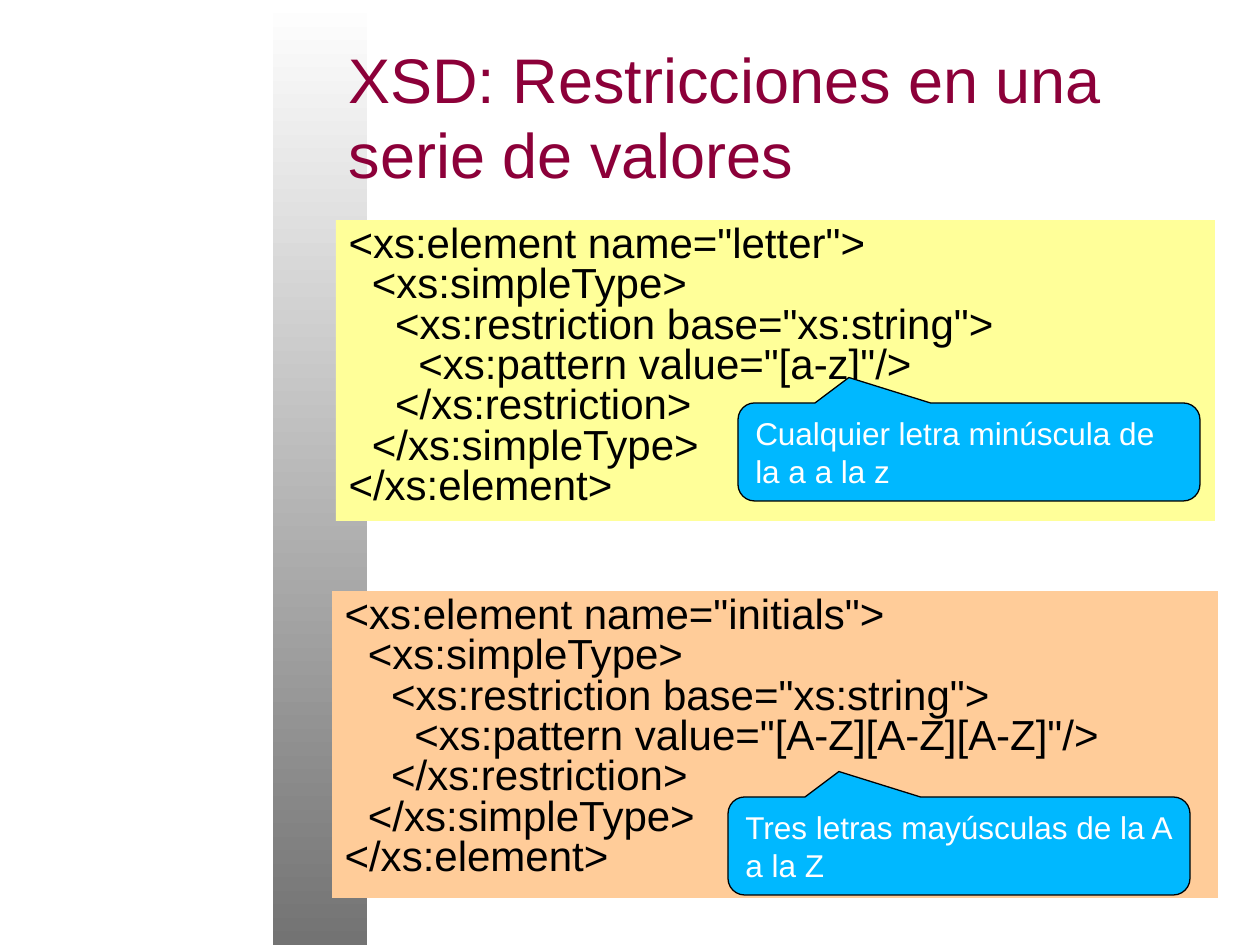
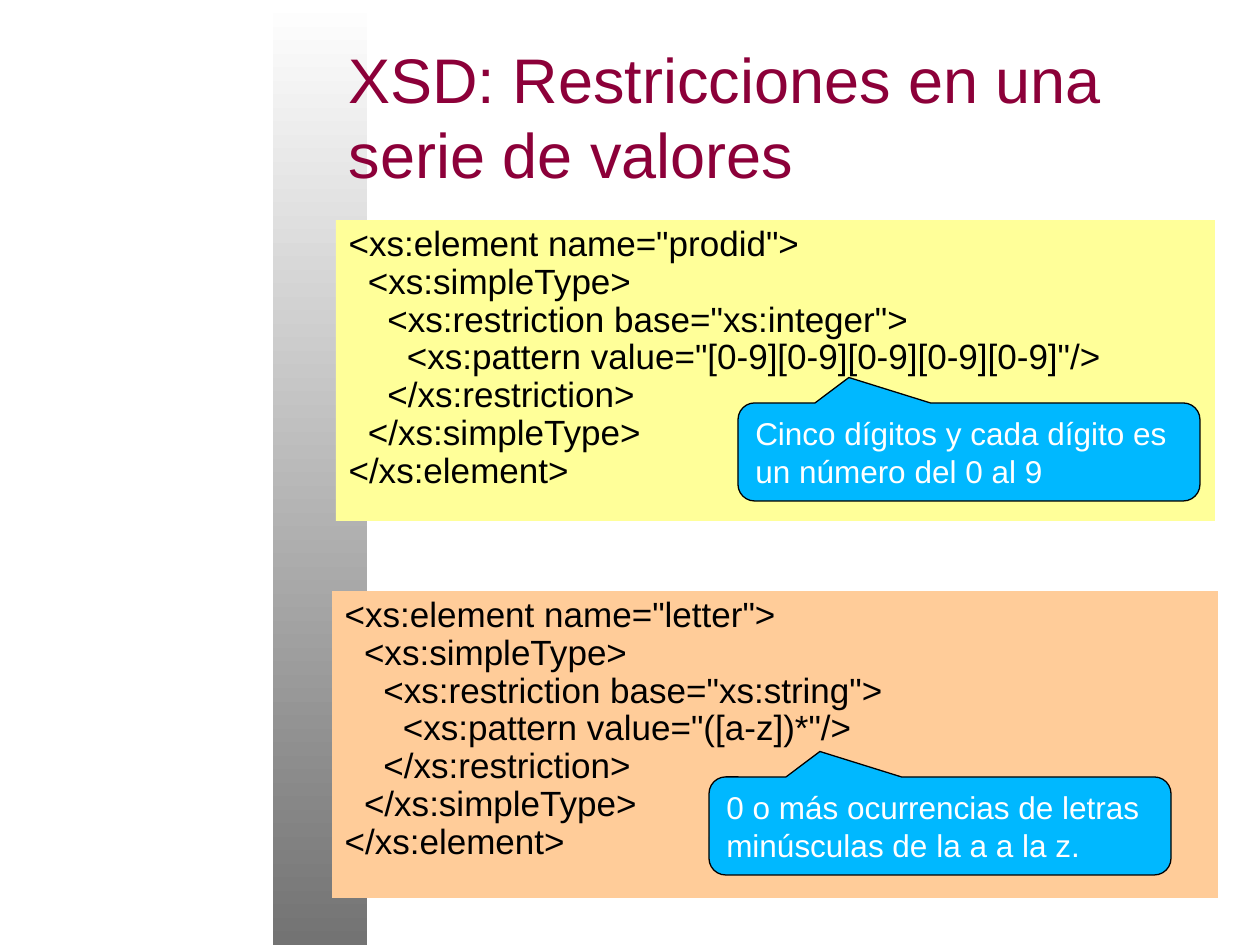
import copy

import pptx
import pptx.dml.color
import pptx.enum.shapes
import pptx.enum.text
import pptx.oxml
import pptx.oxml.ns
import pptx.util

PX = 914400 / 126
MAROON, BLACK, WHITE, BLUE = "8C0039", "000000", "FFFFFF", "00B8FF"
BAND_DARK, YELLOW, ORANGE = "737373", "FFFF99", "FFCC99"

TITLE = "XSD: Restricciones en una serie de valores"
TITLE_BOX = (336, 32, 882, 168)
CODE_BOXES = [((336, 220, 879, 301), YELLOW), ((332, 591, 886, 307), ORANGE)]
CALLOUT_SIZE = (462, 98)
CALLOUT_ADJUSTMENTS = (-0.26, -0.76, 0.17)

CODE = """<xs:element name="{}">
  <xs:simpleType>
    <xs:restriction base="xs:{}">
      <xs:pattern value="{}"/>
    </xs:restriction>
  </xs:simpleType>
</xs:element>"""

# Per slide: code size, line spacing, and two (code values, callout place, callout text)
SLIDES = [
    (24, 0.8, [
        (("letter", "string", "[a-z]"), (738, 403),
         "Cualquier letra minúscula de la a a la z"),
        (("initials", "string", "[A-Z][A-Z][A-Z]"), (728, 797),
         "Tres letras mayúsculas de la A a la Z"),
    ]),
    (20, 0.9, [
        (("prodid", "integer", "[0-9][0-9][0-9][0-9][0-9]"), (738, 403),
         "Cinco dígitos y cada dígito es un número del 0 al 9"),
        (("letter", "string", "([a-z])*"), (709, 777),
         "0 o más ocurrencias de letras minúsculas de la a a la z."),
    ]),
]


def rgb(color):
    return pptx.dml.color.RGBColor.from_string(color)


def write(sp, text, size, color, anchor):
    """Fill a shape with one left-aligned paragraph and return the paragraph."""
    tf = sp.text_frame
    tf.word_wrap = True
    tf.auto_size = pptx.enum.text.MSO_AUTO_SIZE.NONE
    tf.vertical_anchor = anchor
    p = tf.paragraphs[0]
    p.text = text
    p.alignment = pptx.enum.text.PP_ALIGN.LEFT
    p.space_before = pptx.util.Pt(0)
    for r in p.runs:
        r.font.name = "Arial"
        r.font.size = pptx.util.Pt(size)
        r.font.color.rgb = rgb(color)
    # Line breaks take the same size as the runs
    for br in p._p.findall(pptx.oxml.ns.qn("a:br")):
        br.insert(0, copy.deepcopy(p.runs[0].font._rPr))
    return p


prs = pptx.Presentation()
prs.slide_width, prs.slide_height = round(1260 * PX), round(945 * PX)
layout = prs.slide_layouts.get_by_name("Two Content")
shape_types = pptx.enum.shapes.MSO_SHAPE
anchors = pptx.enum.text.MSO_ANCHOR

for number, (code_size, spacing, examples) in enumerate(SLIDES):
    s = prs.slides.add_slide(layout)

    # The band is made once and moved to the master, behind everything
    if number == 0:
        band = s.shapes.add_shape(
            shape_types.RECTANGLE, *(round(v * PX) for v in (273, 0, 94, 945)))
        band.shadow.inherit = False
        band.line.fill.background()
        band.fill.gradient()
        band.fill.gradient_angle = 90
        for stop, color in zip(band.fill.gradient_stops, (BAND_DARK, WHITE)):
            stop.color.rgb = rgb(color)
        prs.slide_master.shapes.element.insert(2, band.element)

    title, *bodies = s.placeholders
    title.left, title.top, title.width, title.height = (
        round(v * PX) for v in TITLE_BOX)
    write(title, TITLE, 36, MAROON, anchors.MIDDLE)

    for body, (box, color), (values, _, _) in zip(bodies, CODE_BOXES, examples):
        body.left, body.top, body.width, body.height = (round(v * PX) for v in box)
        body.fill.solid()
        body.fill.fore_color.rgb = rgb(color)
        p = write(body, CODE.format(*values), code_size, BLACK, anchors.TOP)
        p.line_spacing = spacing
        pPr = p._p.get_or_add_pPr()
        pPr.set("marL", "0")
        pPr.set("indent", "0")
        pPr.append(pptx.oxml.parse_xml(
            f"<a:buNone {pptx.oxml.ns.nsdecls('a')}/>"))

    for _, place, text in examples:
        callout = s.shapes.add_shape(
            shape_types.ROUNDED_RECTANGULAR_CALLOUT,
            *(round(v * PX) for v in place + CALLOUT_SIZE))
        callout.shadow.inherit = False
        for i, value in enumerate(CALLOUT_ADJUSTMENTS):
            callout.adjustments[i] = value
        callout.fill.solid()
        callout.fill.fore_color.rgb = rgb(BLUE)
        callout.line.color.rgb = rgb(BLACK)
        callout.line.width = pptx.util.Pt(0.75)
        write(callout, text, 18, WHITE, anchors.MIDDLE)

prs.save("out.pptx")
